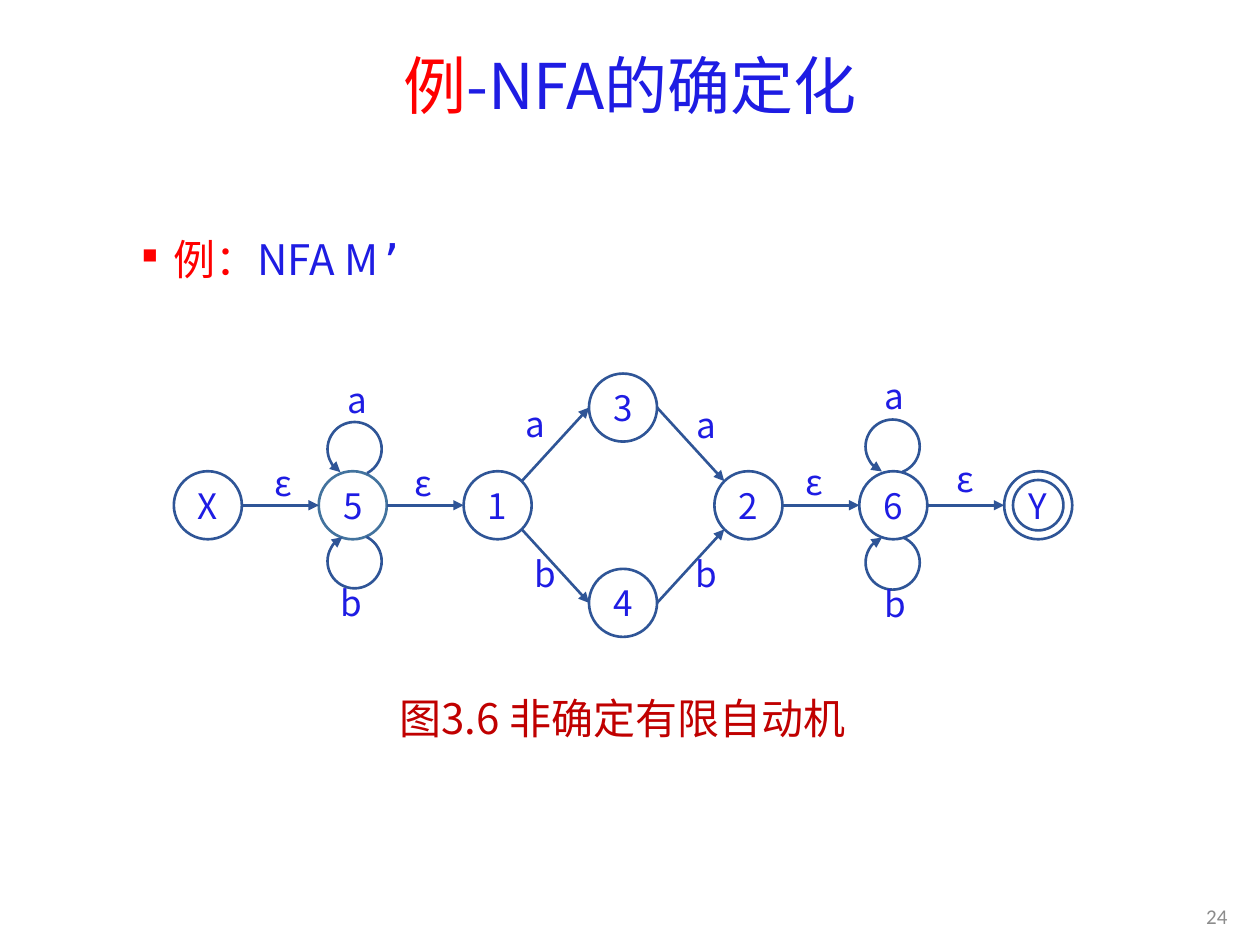
from dataclasses import dataclass

from lxml.etree import SubElement
from pptx import Presentation
from pptx.dml.color import RGBColor
from pptx.enum.shapes import MSO_CONNECTOR, MSO_SHAPE
from pptx.enum.text import MSO_ANCHOR, PP_ALIGN
from pptx.oxml.ns import qn
from pptx.util import Inches, Pt


@dataclass(frozen=True)
class Theme:
    red: str = "FF0000"
    blue: str = "1E1CE3"
    caption: str = "C00000"
    grey: str = "8C8C8C"
    line: str = "2F5597"
    line_teal: str = "43739E"
    title_font: str = "Noto Sans CJK JP"
    font: str = "Noto Sans CJK SC"
    mono: str = "DejaVu Sans Mono"
    number_font: str = "Calibri"
    title_size: int = 36
    text_size: int = 24
    label_size: int = 20
    number_size: int = 12
    stroke: float = 1.5


THEME = Theme()

# Content: runs are (text, colour, font)
TITLE = [("例", THEME.red, THEME.title_font),
         ("-NFA的确定化", THEME.blue, THEME.title_font)]
EXAMPLE = [("例：", THEME.red, THEME.font),
           ("NFA M", THEME.blue, THEME.font),
           ("’", THEME.blue, THEME.mono)]
CAPTION = [("图3.6 非确定有限自动机", THEME.caption, THEME.font)]
NUMBER = [("24", THEME.grey, THEME.number_font)]

# State: (column, row) on the diagram grid
STATES = {"4": (3, 2), "3": (3, 0), "X": (0, 1), "5": (1, 1),
          "1": (2, 1), "2": (4, 1), "6": (5, 1), "Y": (6, 1)}
FINAL = "Y"

# Transition: from, port, to, port, symbol, centre of symbol
TRANSITIONS = [
    ("X", "E", "5", "W", "ε", (2.25, 3.83)),
    ("5", "E", "1", "W", "ε", (3.36, 3.83)),
    ("2", "E", "6", "W", "ε", (6.46, 3.82)),
    ("6", "E", "Y", "W", "ε", (7.66, 3.8)),
    ("4", "E", "2", "SW", "b", (5.61, 4.55)),
    ("3", "E", "2", "NW", "a", (5.61, 3.37)),
    ("1", "SE", "4", "W", "b", (4.33, 4.55)),
    ("1", "NE", "3", "W", "a", (4.25, 3.36)),
]
# Loop: left, top, flipped, start and end adjustments, symbol, centre of symbol
LOOPS = [
    (2.6, 3.35, False, (72.98, 37.6), "a", (2.84, 3.17)),
    (6.87, 3.33, False, (68.01, 40.83), "a", (7.1, 3.14)),
    (2.6, 4.24, True, (70.23, 38.49), "b", (2.79, 4.78)),
    (6.87, 4.25, True, (67.96, 39.79), "b", (7.11, 4.79)),
]

# Grid: wide columns outside, narrow ones round the fork
WIDE, NARROW = 1.15, 0.995
COLUMNS = [1.65]
for step in (WIDE, WIDE, NARROW, NARROW, WIDE, WIDE):
    COLUMNS.append(COLUMNS[-1] + step)
ROWS = [4.01 + 0.775 * k for k in (-1, 0, 1)]
RADIUS, INNER, LOOP = 0.27, 0.2, 0.43
DIAGONAL = RADIUS * 0.71
PORTS = {"E": (RADIUS, 0), "W": (-RADIUS, 0),
         "NE": (DIAGONAL, -DIAGONAL), "NW": (-DIAGONAL, -DIAGONAL),
         "SE": (DIAGONAL, DIAGONAL), "SW": (-DIAGONAL, DIAGONAL)}

deck = Presentation()
deck.slide_width, deck.slide_height = Inches(10), Inches(7.5)
page = deck.slides.add_slide(deck.slide_layouts[6])


def add_runs(para, runs, size):
    for text, colour, font in runs:
        span = para.add_run()
        span.text = text
        span.font.size = Pt(size)
        span.font.name = font
        span.font.color.rgb = RGBColor.from_string(colour)
        SubElement(span.font._element, qn("a:ea"), typeface=font)


def add_text(area, runs, size, align=PP_ALIGN.CENTER, anchor=MSO_ANCHOR.MIDDLE):
    box = page.shapes.add_textbox(*map(Inches, area))
    box.text_frame.word_wrap = True
    box.text_frame.vertical_anchor = anchor
    para = box.text_frame.paragraphs[0]
    para.alignment = align
    add_runs(para, runs, size)
    return box


def clear_margins(frame):
    frame.margin_left = frame.margin_right = 0
    frame.margin_top = frame.margin_bottom = 0


def add_label(text, centre):
    x, y = centre
    box = add_text((x - 0.2, y - 0.18, 0.4, 0.36),
                   [(text, THEME.blue, THEME.font)], THEME.label_size)
    clear_margins(box.text_frame)


def style_line(item, colour=THEME.line, arrow=None):
    item.line.color.rgb = RGBColor.from_string(colour)
    item.line.width = Pt(THEME.stroke)
    if arrow:
        SubElement(item.line._get_or_add_ln(), qn(f"a:{arrow}"), type="triangle")


def add_outline(kind, left, top, size, **line):
    shape = page.shapes.add_shape(kind, *map(Inches, (left, top, size, size)))
    shape.shadow.inherit = False
    shape.fill.background()
    style_line(shape, **line)
    return shape


def add_circle(centre, radius, colour=THEME.line):
    x, y = centre
    return add_outline(MSO_SHAPE.OVAL, x - radius, y - radius, 2 * radius,
                       colour=colour)


def centre_of(state):
    column, row = STATES[state]
    return COLUMNS[column], ROWS[row]


def port_of(state, port):
    return [Inches(c + d) for c, d in zip(centre_of(state), PORTS[port])]


# Title, example line and slide number
title = add_text((0.69, 0.28, 8.62, 0.85), TITLE, THEME.title_size)
title.text_frame.paragraphs[0].line_spacing = 0.9

example = add_text((1.03, 1.77, 2.64, 0.62), EXAMPLE, THEME.text_size,
                   PP_ALIGN.LEFT, MSO_ANCHOR.TOP)
para = example.text_frame.paragraphs[0]
para.line_spacing = Pt(31)
para.space_after = Pt(6)
properties = para._p.get_or_add_pPr()
properties.set("marL", str(Inches(0.25)))
properties.set("indent", str(-Inches(0.25)))
SubElement(properties, qn("a:buSzPct"), val="50000")
SubElement(properties, qn("a:buChar"), char="■")

add_text((9.03, 7.07, 0.81, 0.4), NUMBER, THEME.number_size, PP_ALIGN.RIGHT)

# States
for state in STATES:
    colour = THEME.line_teal if state == "5" else THEME.line
    circle = add_circle(centre_of(state), RADIUS, colour)
    frame = circle.text_frame
    clear_margins(frame)
    frame.word_wrap = False
    frame.vertical_anchor = MSO_ANCHOR.MIDDLE
    frame.paragraphs[0].alignment = PP_ALIGN.CENTER
    add_runs(frame.paragraphs[0], [(state, THEME.blue, THEME.font)],
             THEME.label_size)
add_circle(centre_of(FINAL), INNER)

# Transitions
for source, out_port, target, in_port, symbol, place in TRANSITIONS:
    arrow = page.shapes.add_connector(
        MSO_CONNECTOR.STRAIGHT, *port_of(source, out_port), *port_of(target, in_port))
    style_line(arrow, arrow="tailEnd")
    SubElement(arrow._element.spPr, qn("a:effectLst"))
    add_label(symbol, place)

# Loops
for left, top, flipped, angles, symbol, place in LOOPS:
    arc = add_outline(MSO_SHAPE.ARC, left, top, LOOP, arrow="headEnd")
    arc.adjustments[0], arc.adjustments[1] = angles
    if flipped:
        arc._element.spPr.xfrm.set("flipV", "1")
    add_label(symbol, place)

# Caption
add_text((2.93, 5.45, 4.02, 0.49), CAPTION, THEME.text_size)

deck.save("out.pptx")
